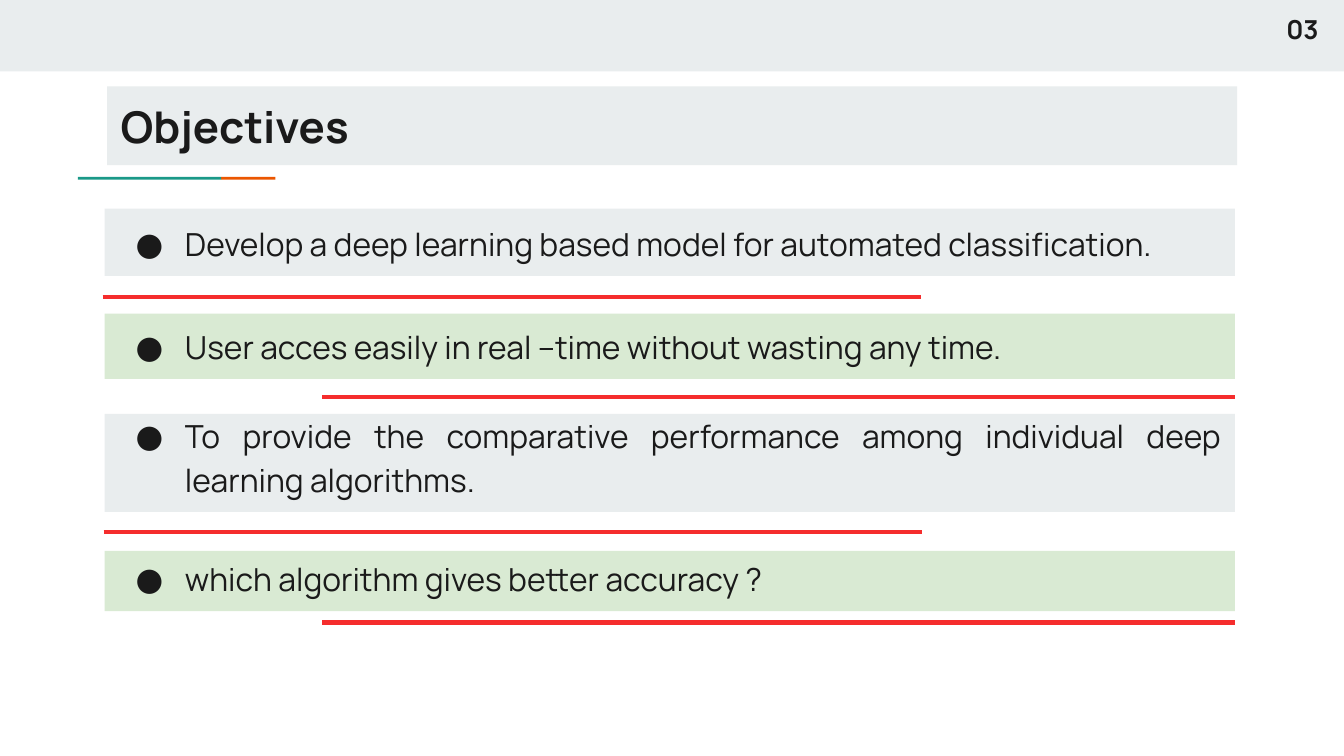
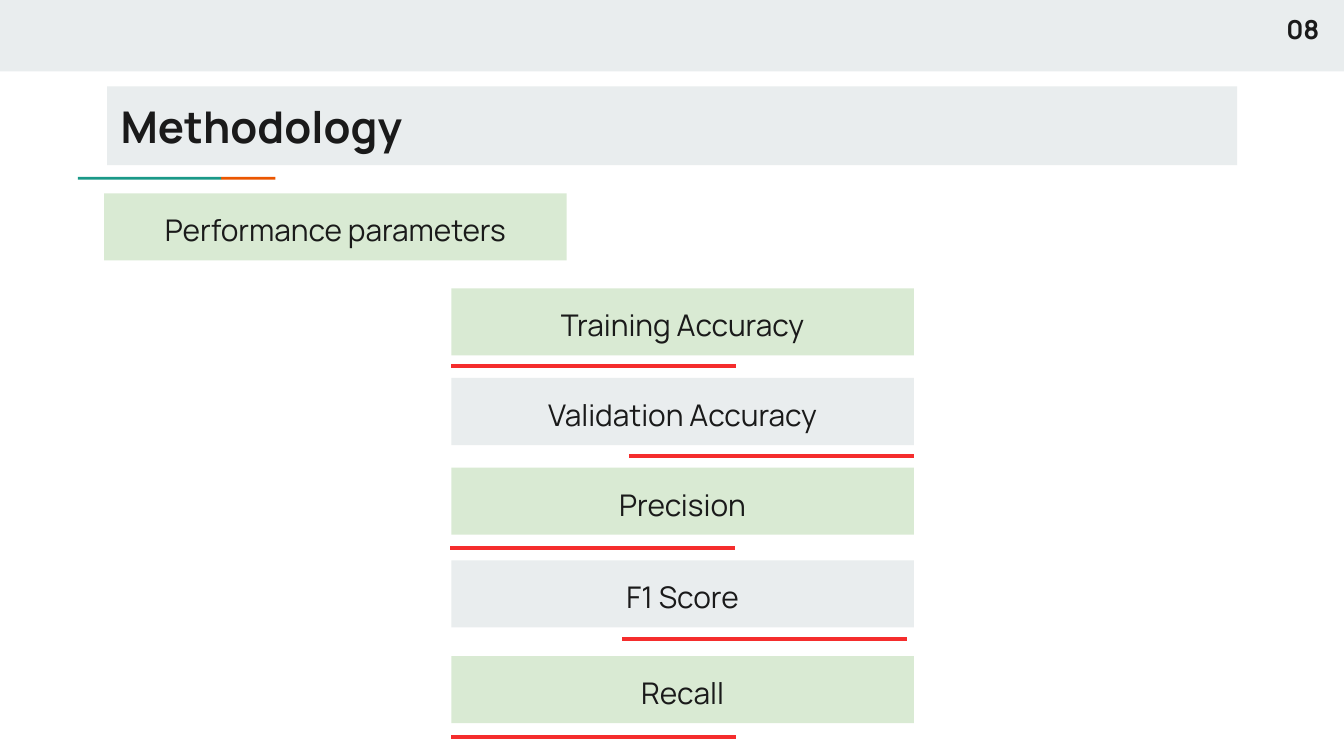
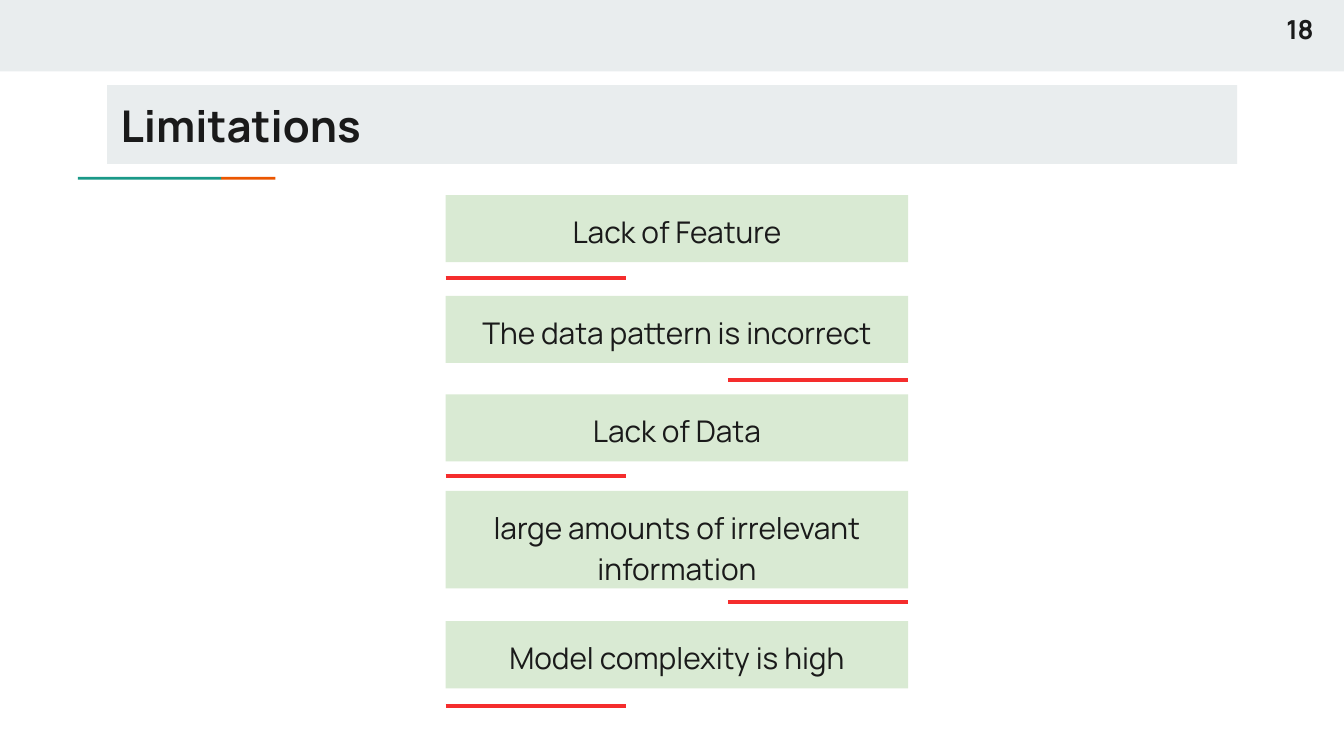
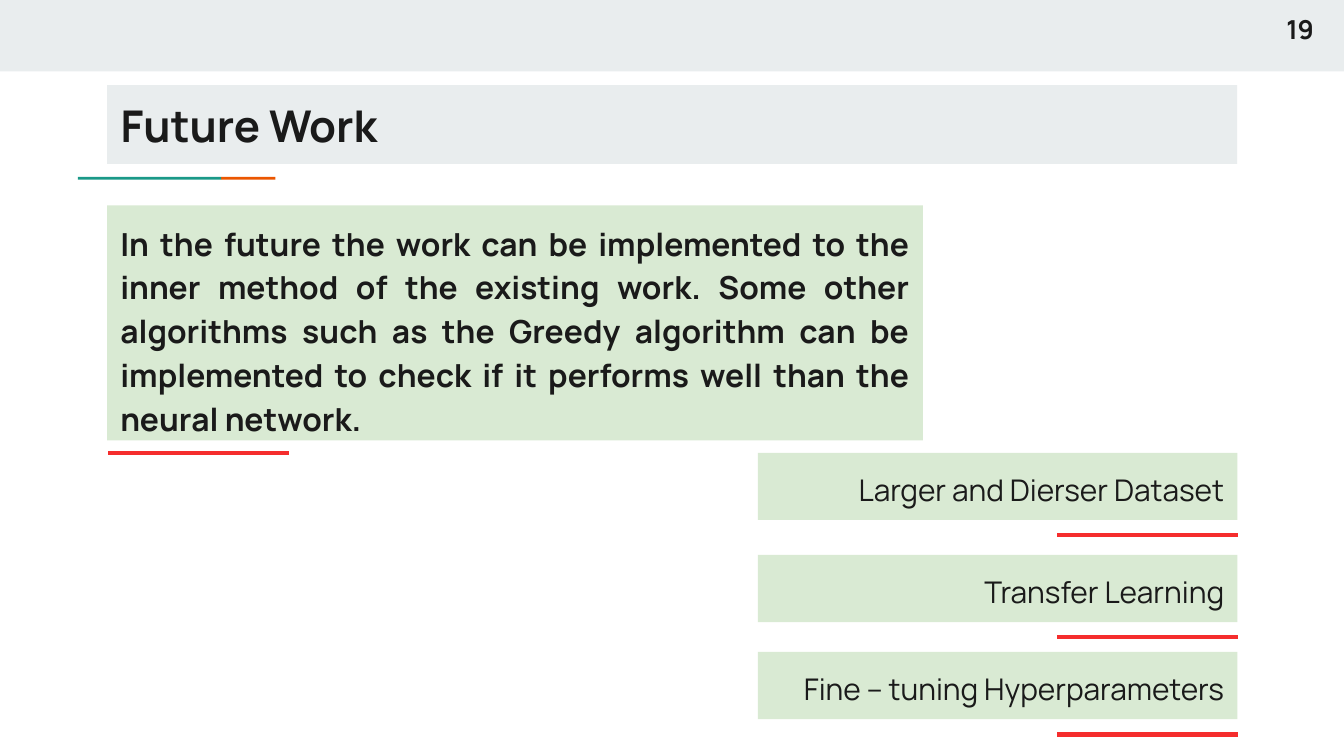
from lxml.etree import SubElement
from pptx import Presentation
from pptx.dml.color import RGBColor
from pptx.enum.shapes import MSO_CONNECTOR as Connector, MSO_SHAPE as Shape
from pptx.enum.text import MSO_ANCHOR as Anchor, MSO_AUTO_SIZE as AutoSize, PP_ALIGN as Align
from pptx.oxml.ns import qn
from pptx.util import Pt

COLORS = {
    "ink": "1A1A1A",
    "mist": "E9EDEE",
    "leaf": "D9EAD3",
    "red": "F52D2D",
    "teal": "1A9988",
    "orange": "EB5600",
}
FONT = "Manrope"
INSET = 7.2
PANEL_HEIGHT = 36

OBJECTIVES_LEFT, OBJECTIVES_WIDTH = 56, 605.5
OBJECTIVES = [
    ("Develop a deep learning based model for automated classification.",
     "mist", 111.8, 36, 55, 438.5, 159.1),
    ("User acces easily in real –time without wasting any time.",
     "leaf", 168, 35, 172.7, 489, 212.6),
    ("To provide the comparative performance among individual deep learning algorithms.",
     "mist", 221.8, 52.5, 55.5, 438.5, 285),
    ("which algorithm gives better accuracy ?",
     "leaf", 295.2, 32.2, 172.7, 489, 333.5),
]

METRICS_LEFT, METRICS_WIDTH, METRIC_RULE = 241.8, 247.8, 152.5
METRICS = [
    ("Training Accuracy", "leaf", 154.5, 241.8, 196),
    ("Validation Accuracy", "mist", 202.5, 337, 244.3),
    ("Precision", "leaf", 250.5, 241.2, 293.5),
    ("F1 Score", "mist", 300.2, 333.3, 342.4),
    ("Recall", "leaf", 351.5, 241.8, 394.8),
]

LIMITS_LEFT, LIMITS_WIDTH, SHORT_RULE = 238.8, 247.8, 96.6
LIMITATIONS = [
    ("Lack of Feature", 104.5, PANEL_HEIGHT, 149),
    ("The data pattern is incorrect", 158.5, PANEL_HEIGHT, 203.8),
    ("Lack of Data", 211.3, PANEL_HEIGHT, 255),
    ("large amounts of irrelevant information", 263, 52.3, 322.5),
    ("Model complexity is high", 332.8, PANEL_HEIGHT, 378.2),
]

PLANS_LEFT, PLANS_WIDTH = 406, 257
PLANS = [
    ("Larger and Dierser Dataset", 242.6, 286.6),
    ("Transfer Learning", 297.3, 341.4),
    ("Fine – tuning Hyperparameters", 349.3, 393.5),
]
OUTLOOK = (
    "In the future the work can be implemented to the inner method of the existing work. "
    "Some other algorithms such as the Greedy algorithm can be implemented to check "
    "if it performs well than the neural network."
)


def rgb(name):
    return RGBColor.from_string(COLORS[name])


def paint(shape, color):
    shape.fill.solid()
    shape.fill.fore_color.rgb = rgb(color)
    shape.line.fill.background()


def add_block(slide, left, top, width, height, color):
    block = slide.shapes.add_shape(
        Shape.RECTANGLE, Pt(left), Pt(top), Pt(width), Pt(height))
    block.shadow.inherit = False
    paint(block, color)
    return block


def write(shape, text, size, bold=False, align=Align.LEFT, anchor=Anchor.TOP):
    frame = shape.text_frame
    frame.word_wrap = True
    frame.auto_size = AutoSize.NONE
    frame.vertical_anchor = anchor
    frame.margin_left = frame.margin_right = Pt(INSET)
    frame.margin_top = frame.margin_bottom = Pt(INSET)
    paragraph = frame.paragraphs[0]
    paragraph.alignment = align
    run = paragraph.add_run()
    run.text = text
    run.font.name = FONT
    run.font.size = Pt(size)
    run.font.bold = bold
    run.font.color.rgb = rgb("ink")
    return paragraph


def add_bullet(paragraph):
    properties = paragraph._p.get_or_add_pPr()
    properties.set("marL", str(Pt(36)))
    properties.set("indent", str(-Pt(26.5)))
    color = SubElement(properties, qn("a:buClr"))
    SubElement(color, qn("a:srgbClr"), val=COLORS["ink"])
    SubElement(properties, qn("a:buFont"), typeface=FONT)
    SubElement(properties, qn("a:buChar"), char="●")


def add_panel(slide, text, left, top, width, height=PANEL_HEIGHT, color="leaf",
              size=16, bold=False, align=Align.CENTER):
    panel = add_block(slide, left, top, width, height, color)
    paragraph = write(panel, text, size, bold, align)
    paragraph.line_spacing = 1.15
    paragraph.space_after = Pt(12)


def add_objective(slide, text, color, top, height):
    panel = add_block(slide, OBJECTIVES_LEFT, top, OBJECTIVES_WIDTH, height, color)
    paragraph = write(panel, text, 17, align=Align.JUSTIFY, anchor=Anchor.BOTTOM)
    paragraph.line_spacing = 1.15
    add_bullet(paragraph)


def add_rule(slide, left, y, width):
    rule = slide.shapes.add_connector(
        Connector.STRAIGHT, Pt(left), Pt(y), Pt(left + width), Pt(y))
    rule.line.color.rgb = rgb("red")
    rule.line.width = Pt(2.25)
    SubElement(rule._element.spPr, qn("a:effectLst"))


def start_slide(deck, heading, number, title_top):
    slide = deck.slides.add_slide(deck.slide_layouts[5])
    add_block(slide, 0, 0, 720, 38.3, "mist")
    add_block(slide, 118.5, 94.8, 29, 1.5, "orange")
    add_block(slide, 41.8, 94.8, 76.7, 1.5, "teal")
    title = slide.shapes.title
    title.left, title.top = Pt(57.4), Pt(title_top)
    title.width, title.height = Pt(605.4), Pt(42.2)
    paint(title, "mist")
    write(title, heading, 23.4, bold=True)
    write(add_block(slide, 682, 0, 38, 23, "mist"), number, 14, bold=True)
    return slide


def build_objectives(deck):
    slide = start_slide(deck, "Objectives", "03", 46.3)
    for text, color, top, height, rule_left, rule_width, rule_y in OBJECTIVES:
        add_objective(slide, text, color, top, height)
        add_rule(slide, rule_left, rule_y, rule_width)


def build_methodology(deck):
    slide = start_slide(deck, "Methodology", "08", 46.3)
    add_panel(slide, "Performance parameters", 55.8, 103.6, METRICS_WIDTH)
    for text, color, top, rule_left, rule_y in METRICS:
        add_panel(slide, text, METRICS_LEFT, top, METRICS_WIDTH, color=color)
        add_rule(slide, rule_left, rule_y, METRIC_RULE)


def build_limitations(deck):
    slide = start_slide(deck, "Limitations", "18", 45.6)
    for index, (text, top, height, rule_y) in enumerate(LIMITATIONS):
        add_panel(slide, text, LIMITS_LEFT, top, LIMITS_WIDTH, height)
        shift = LIMITS_WIDTH - SHORT_RULE if index % 2 else 0
        add_rule(slide, LIMITS_LEFT + shift, rule_y, SHORT_RULE)


def build_future_work(deck):
    slide = start_slide(deck, "Future Work", "19", 45.6)
    add_panel(slide, OUTLOOK, 57.4, 110, 437, 126, size=17, bold=True,
              align=Align.JUSTIFY)
    add_rule(slide, 58, 242.5, SHORT_RULE)
    for text, top, rule_y in PLANS:
        add_panel(slide, text, PLANS_LEFT, top, PLANS_WIDTH, align=Align.RIGHT)
        add_rule(slide, PLANS_LEFT + PLANS_WIDTH - SHORT_RULE, rule_y, SHORT_RULE)


def main():
    deck = Presentation()
    deck.slide_width, deck.slide_height = Pt(720), Pt(405)
    build_objectives(deck)
    build_methodology(deck)
    build_limitations(deck)
    build_future_work(deck)
    deck.save("out.pptx")


if __name__ == "__main__":
    main()
